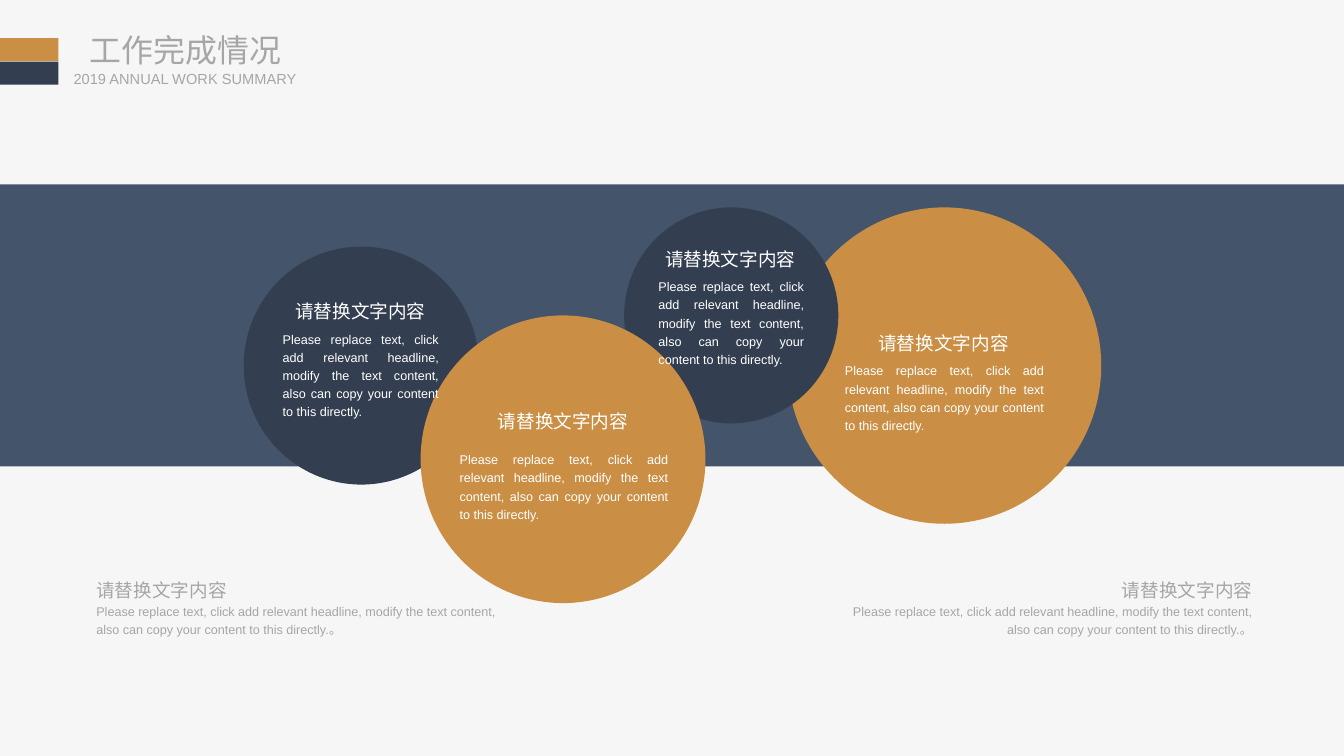
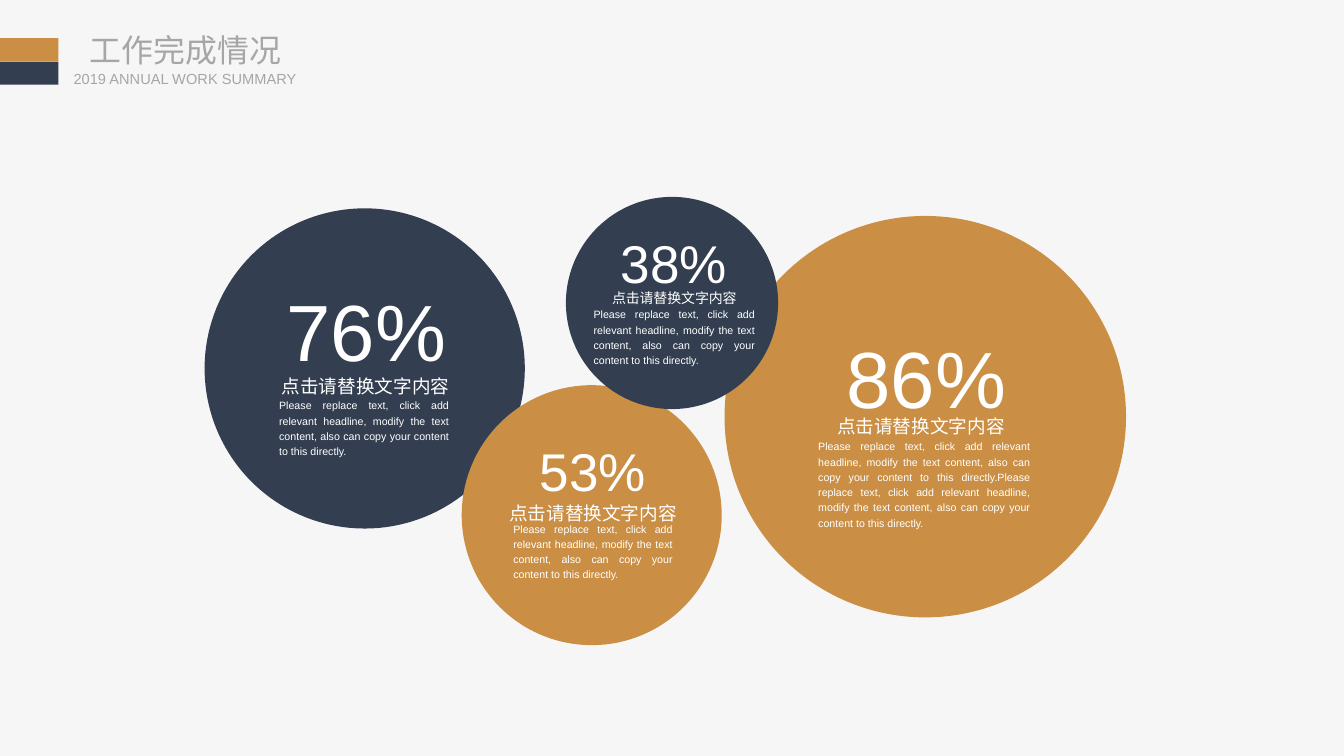
from pptx import Presentation
from pptx.dml.color import RGBColor
from pptx.enum.shapes import MSO_SHAPE
from pptx.enum.text import MSO_ANCHOR, MSO_AUTO_SIZE, PP_ALIGN
from pptx.util import Inches, Pt

CELL = Inches(0.1)
COLS, ROWS = 140.6, 79.1
FONT = "Arial"
HUES = {"paper": "F6F6F6", "band": "44546A", "gold": "CA8F45",
        "navy": "333F50", "white": "FFFFFF", "grey": "A6A6A6"}
LEFT, MID, RIGHT, FULL = PP_ALIGN.LEFT, PP_ALIGN.CENTER, PP_ALIGN.RIGHT, PP_ALIGN.JUSTIFY

HEAD = "请替换文字内容"
LABEL = "点击请替换文字内容"
BODY = ("Please replace text, click add relevant headline, modify the text content, "
        "also can copy your content to this directly.")


def draw(slide, kind, box, hue):
    shape = slide.shapes.add_shape(kind, *[round(n * CELL) for n in box])
    shape.shadow.inherit = False
    shape.fill.solid()
    shape.fill.fore_color.rgb = RGBColor.from_string(HUES[hue])
    shape.line.fill.background()


def write(shape, text, box, size, hue, align, wrap=True, pad=(0, 0), lead=1.2,
          anchor=MSO_ANCHOR.TOP):
    for name, n in zip(("left", "top", "width", "height"), box):
        setattr(shape, name, round(n * CELL))
    frame = shape.text_frame
    frame.text = text
    para = frame.paragraphs[0]
    side, edge = [round(n * CELL) for n in pad]
    looks = [
        (frame, {"word_wrap": wrap, "auto_size": MSO_AUTO_SIZE.SHAPE_TO_FIT_TEXT,
                 "vertical_anchor": anchor, "margin_left": side, "margin_right": side,
                 "margin_top": edge, "margin_bottom": edge}),
        (para, {"alignment": align, "line_spacing": lead, "space_before": Pt(0)}),
        (para.runs[0].font, {"name": FONT, "size": Pt(size), "bold": False}),
    ]
    for part, look in looks:
        for name, value in look.items():
            setattr(part, name, value)
    para.runs[0].font.color.rgb = RGBColor.from_string(HUES[hue])


deck = Presentation()
deck.slide_width, deck.slide_height = round(COLS * CELL), round(ROWS * CELL)
back = deck.slide_master.background.fill
back.solid()
back.fore_color.rgb = RGBColor.from_string(HUES["paper"])

slides = []
for page in range(2):
    slide = deck.slides.add_slide(deck.slide_layouts[5])
    flat = {"lead": 1.0, "anchor": MSO_ANCHOR.MIDDLE}
    write(slide.shapes.title, "工作完成情况", (9.4, 3.2, 43.1, 4), 24, "grey", LEFT, **flat)
    write(slide.shapes.add_textbox(0, 0, 0, 0), "2019 ANNUAL WORK SUMMARY",
          (7.7, 7.3, 30.6, 1.9), 11, "grey", LEFT, **flat)
    for row, hue in enumerate(("gold", "navy")):
        draw(slide, MSO_SHAPE.RECTANGLE, (0, 4 + 2.45 * row, 6.1, 2.4), hue)
    slides.append(slide)

first, second = slides
draw(first, MSO_SHAPE.RECTANGLE, (0, 19.3, COLS, 29.5), "band")

discs = [
    ((82.4, 21.7, 32.8, 33.1), "gold"),
    ((65.3, 21.7, 22.4, 22.6), "navy"),
    ((25.5, 25.8, 24.6, 24.9), "navy"),
    ((44, 33, 29.8, 30.1), "gold"),
]
for box, hue in discs:
    draw(first, MSO_SHAPE.OVAL, box, hue)

notes = [
    ((51.1, 41.9), (47.1, 46.5, 23.8, 8.5), "white", FULL, ""),
    ((90.9, 33.8), (87.4, 37.2, 22.8, 8.5), "white", FULL, ""),
    ((29.9, 30.4), (28.6, 33.9, 18.3, 10.4), "white", FULL, ""),
    ((68.6, 25), (67.9, 28.4, 17.2, 10.4), "white", FULL, ""),
    ((9.1, 59.6), (9.1, 62.4, 46.3, 4.8), "grey", LEFT, "。"),
    ((116.2, 59.6), (85.7, 62.4, 46.3, 4.8), "grey", RIGHT, "。"),
]
for spot, box, hue, align, tail in notes:
    for text, area, size, wrap in ((HEAD, (*spot, 15.8, 3.6), 14, False),
                                   (BODY + tail, box, 9.5, True)):
        write(first.shapes.add_textbox(0, 0, 0, 0), text, area, size, hue, align,
              wrap, pad=(1, 0.5))

stats = [
    ((75.8, 22.6, 42), "gold", "86%", 60, (88.5, 32.4, 16.8, 11),
     14, (87.5, 43, 17.7, 2.6), BODY * 2, (85.6, 45.8, 22.2, 9.7)),
    ((21.4, 21.8, 33.5), "navy", "76%", 60, (29.9, 27.5, 16.8, 12.1),
     14, (29.4, 38.8, 17.7, 2.8), BODY, (29.2, 41.5, 17.8, 6.5)),
    ((48.3, 40.3, 27.2), "gold", "53%", 40, (56.4, 44.5, 11.2, 8.1),
     14, (53.2, 52, 17.7, 2.8), BODY, (53.7, 54.4, 16.7, 6.3)),
    ((59.2, 20.6, 22.2), "navy", "38%", 40, (64.9, 22.8, 11.2, 8.1),
     10.5, (63.9, 29.9, 13.3, 2.1), BODY, (62.1, 32, 16.9, 6.3)),
]
for (left, top, size), hue, rate, big, high, small, low, text, box in stats:
    draw(second, MSO_SHAPE.OVAL, (left, top, size, size), hue)
    for words, area, size, align, wrap in ((text, box, 8, FULL, True),
                                           (rate, high, big, MID, False),
                                           (LABEL, low, small, MID, False)):
        write(second.shapes.add_textbox(0, 0, 0, 0), words, area, size, "white",
              align, wrap)

deck.save("out.pptx")
